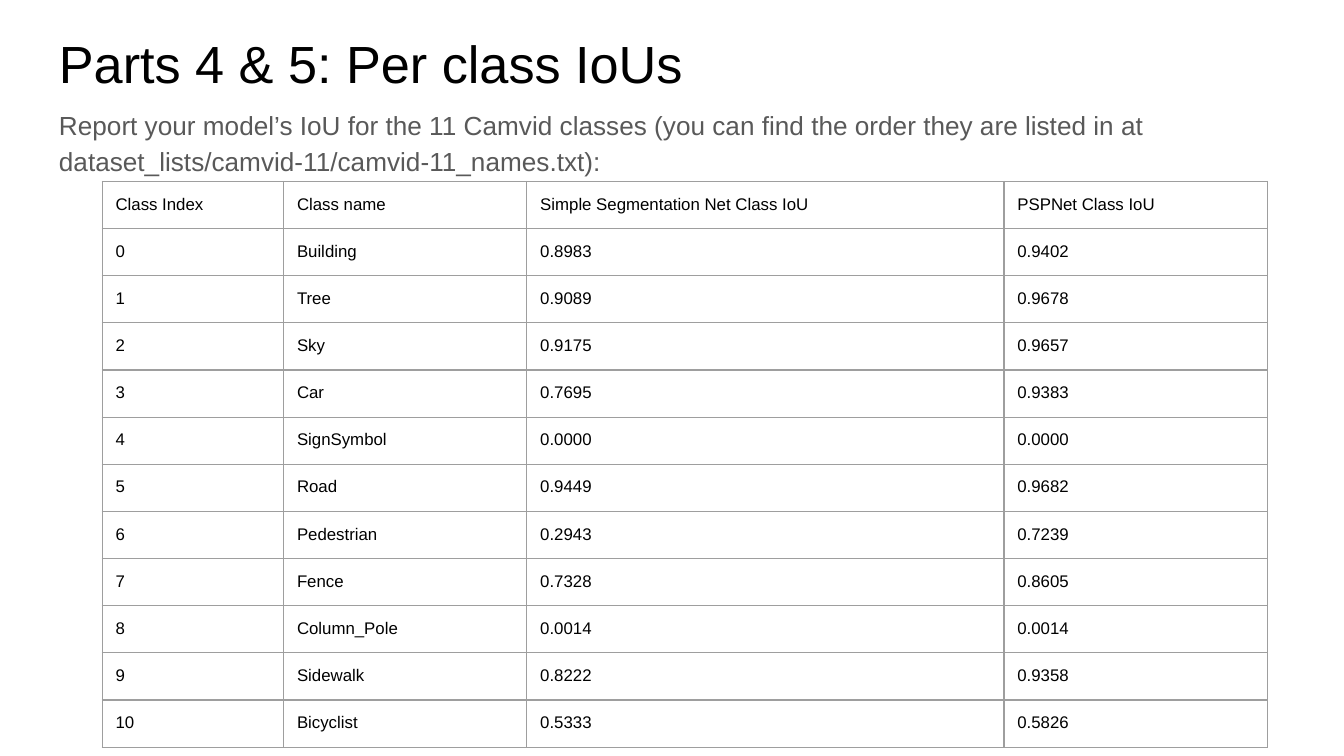
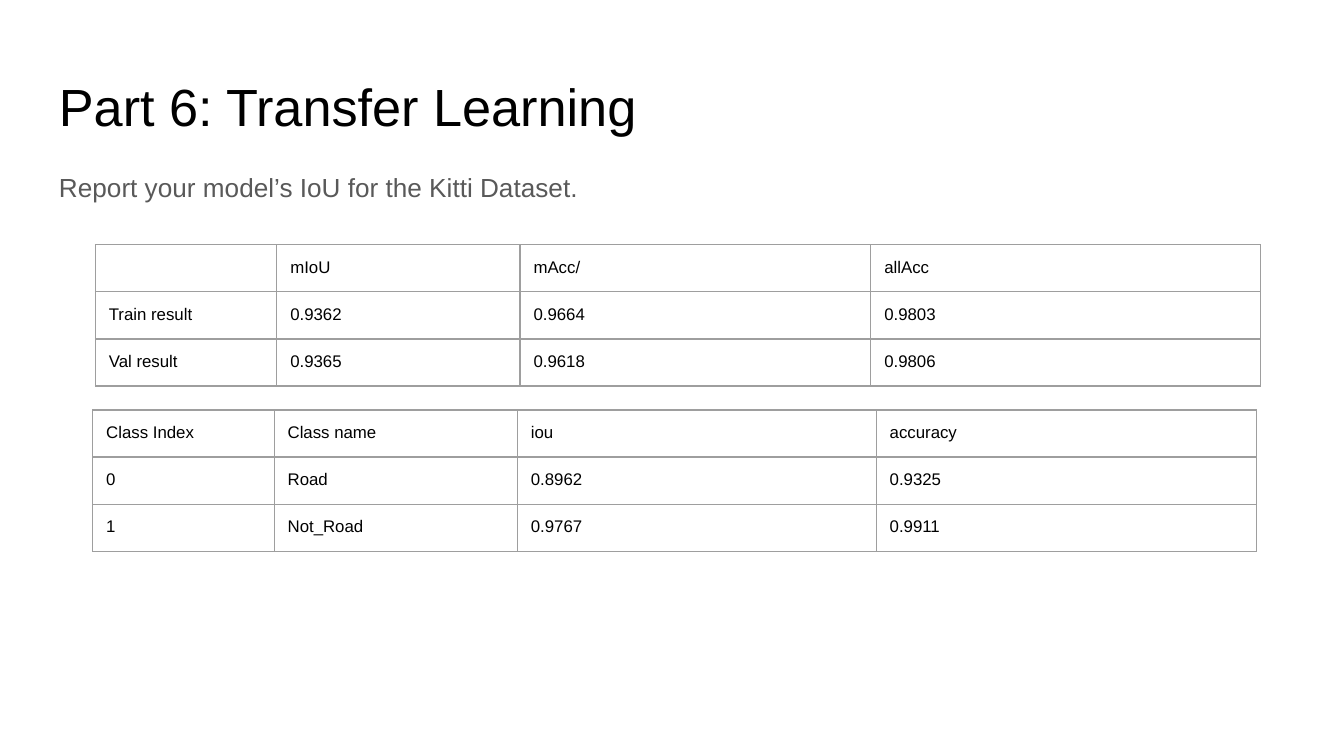
from lxml import etree
from pptx import Presentation
from pptx.dml.color import RGBColor
from pptx.enum.text import MSO_ANCHOR
from pptx.oxml.ns import qn
from pptx.util import Inches, Pt

FONT = "Arial"
BLACK, GRAY, BORDER = "000000", "595959", "9E9E9E"
MARGIN = 0.1
ROW_HEIGHT = 0.3  # rows grow to fit their text

CAMVID_ROWS = [
    ("Class Index", "Class name", "Simple Segmentation Net Class IoU", "PSPNet Class IoU"),
    ("0", "Building", "0.8983", "0.9402"),
    ("1", "Tree", "0.9089", "0.9678"),
    ("2", "Sky", "0.9175", "0.9657"),
    ("3", "Car", "0.7695", "0.9383"),
    ("4", "SignSymbol", "0.0000", "0.0000"),
    ("5", "Road", "0.9449", "0.9682"),
    ("6", "Pedestrian", "0.2943", "0.7239"),
    ("7", "Fence", "0.7328", "0.8605"),
    ("8", "Column_Pole", "0.0014", "0.0014"),
    ("9", "Sidewalk", "0.8222", "0.9358"),
    ("10", "Bicyclist", "0.5333", "0.5826"),
]
KITTI_CLASS_ROWS = [
    ("Class Index", "Class name", "iou", "accuracy"),
    ("0", "Road", "0.8962", "0.9325"),
    ("1", "Not_Road", "0.9767", "0.9911"),
]
KITTI_RESULT_ROWS = [
    ("", "mIoU", "mAcc/", "allAcc"),
    ("Train result", "0.9362", "0.9664", "0.9803"),
    ("Val result", "0.9365", "0.9618", "0.9806"),
]

# Each table: left, top, column widths, rows
SLIDES = [
    {
        "title": ("Parts 4 & 5: Per class IoUs", 0.13),
        "body": ("Report your model’s IoU for the 11 Camvid classes (you can find the order "
                 "they are listed in at dataset_lists/camvid-11/camvid-11_names.txt):", 0.68),
        "tables": [(0.76, 1.35, (1.35, 1.81, 3.55, 1.96), CAMVID_ROWS)],
    },
    {
        "title": ("Part 6: Transfer Learning", 0.45),
        "body": ("Report your model’s IoU for the Kitti Dataset.", 1.14),
        "tables": [
            (0.69, 3.05, (1.35, 1.81, 2.67, 2.83), KITTI_CLASS_ROWS),
            (0.71, 1.82, (1.35, 1.81, 2.61, 2.9), KITTI_RESULT_ROWS),
        ],
    },
]


def rgb(color):
    return RGBColor.from_string(color)


def set_margins(box):
    box.margin_left = box.margin_right = Inches(MARGIN)
    box.margin_top = box.margin_bottom = Inches(MARGIN)


def style_paragraph(p, size, color, spacing=1.0):
    p.line_spacing = spacing
    for r in p.runs:
        r.font.name = FONT
        r.font.size = Pt(size)
        r.font.color.rgb = rgb(color)
    # The paragraph mark sets the line height of an empty cell
    mark = etree.SubElement(p._p, qn("a:endParaRPr"), sz=str(size * 100))
    etree.SubElement(mark, qn("a:latin"), typeface=FONT)


def add_text(s, text, top, height, size, color, spacing=1.0):
    tf = s.shapes.add_textbox(Inches(0.34), Inches(top), Inches(9.32), Inches(height)).text_frame
    tf.word_wrap = True
    tf.vertical_anchor = MSO_ANCHOR.TOP
    set_margins(tf)
    tf.text = text
    style_paragraph(tf.paragraphs[0], size, color, spacing)


def set_borders(cell):
    tc_pr = cell._tc.get_or_add_tcPr()
    for side in ("a:lnL", "a:lnR", "a:lnT", "a:lnB"):
        ln = etree.SubElement(tc_pr, qn(side), w=str(Pt(0.75)))
        fill = etree.SubElement(ln, qn("a:solidFill"))
        etree.SubElement(fill, qn("a:srgbClr"), val=BORDER)


def fill_cell(cell, text):
    set_margins(cell)
    set_borders(cell)
    cell.fill.background()
    p = cell.text_frame.paragraphs[0]
    p.text = text
    style_paragraph(p, 9, BLACK)


def add_grid(s, left, top, widths, rows):
    table = s.shapes.add_table(len(rows), len(widths), Inches(left), Inches(top),
                               Inches(sum(widths)), Inches(ROW_HEIGHT * len(rows))).table
    table.first_row = table.horz_banding = False
    for column, width in zip(table.columns, widths):
        column.width = Inches(width)
    for i, row in enumerate(rows):
        table.rows[i].height = Inches(ROW_HEIGHT)
        for j, text in enumerate(row):
            fill_cell(table.cell(i, j), text)


def main():
    prs = Presentation()
    prs.slide_width = Inches(10)
    prs.slide_height = prs.slide_width * 9 // 16
    for content in SLIDES:
        s = prs.slides.add_slide(prs.slide_layouts[6])
        add_text(s, *content["title"], height=0.63, size=28, color=BLACK)
        add_text(s, *content["body"], height=0.72, size=14, color=GRAY, spacing=1.15)
        for grid in content["tables"]:
            add_grid(s, *grid)
    prs.save("out.pptx")


if __name__ == "__main__":
    main()
